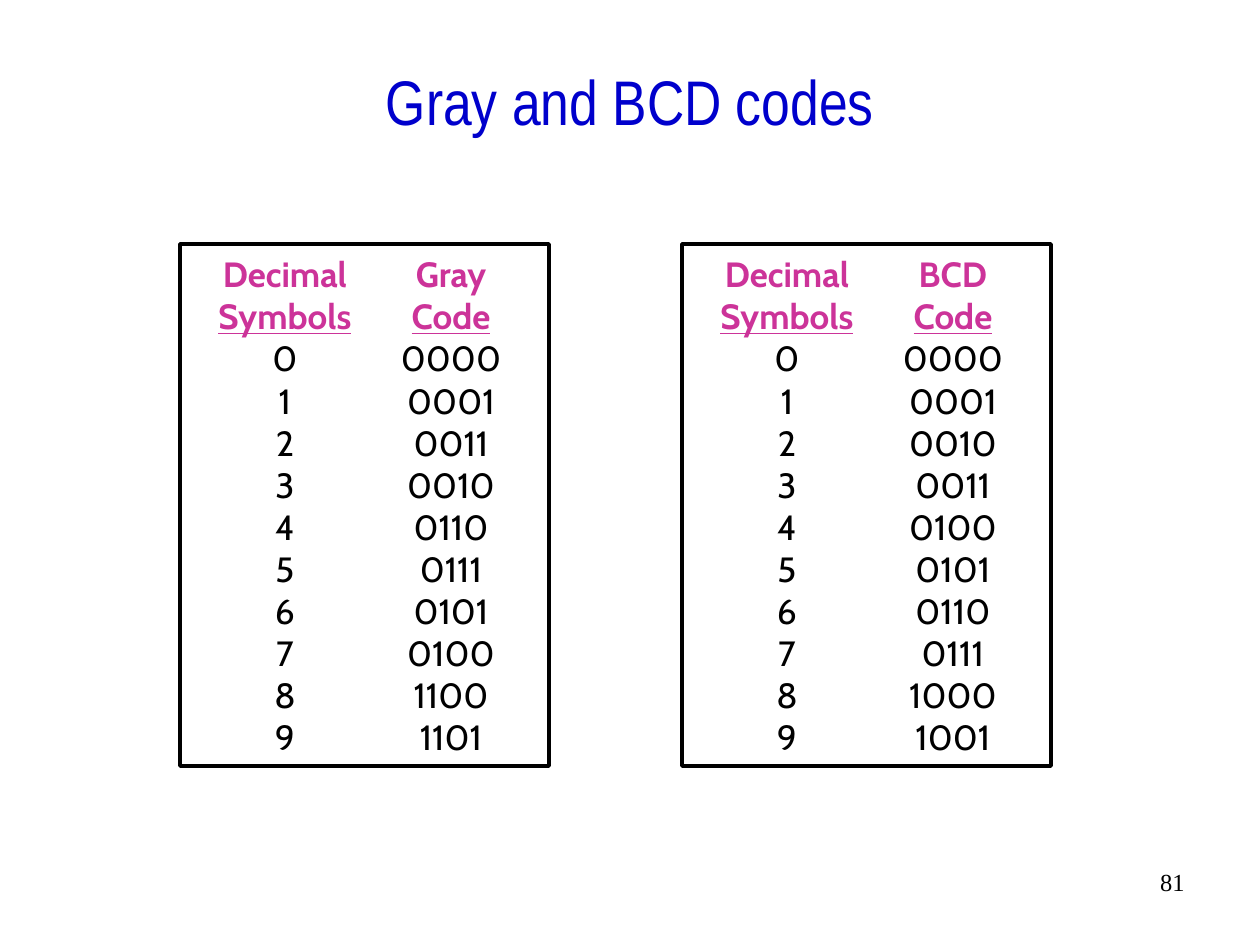
import pptx
import pptx.dml.color
import pptx.enum.shapes
import pptx.enum.text
import pptx.util

THEME = {
    "blue": "0000CC", "pink": "CC3399", "black": "000000",
    "title_font": "Arial Narrow", "code_font": "Cabin", "number_font": "Times New Roman",
    "title_size": 36, "code_size": 20, "number_size": 14, "line_spacing": 24, "frame_width": 2,
}
ALIGN = pptx.enum.text.PP_ALIGN
ANCHOR = pptx.enum.text.MSO_ANCHOR
AUTO_SIZE = pptx.enum.text.MSO_AUTO_SIZE


def px(*lengths):
    return [pptx.util.Emu(round(length * 914400 / 126)) for length in lengths]


def write(text_frame, text, *, font, size, color, align=ALIGN.CENTER,
          bold=False, underline=False, spacing=None):
    paragraph = text_frame.paragraphs[0]
    if paragraph.runs:
        paragraph = text_frame.add_paragraph()
    paragraph.alignment = align
    if spacing:
        paragraph.line_spacing = pptx.util.Pt(spacing)
    run = paragraph.add_run()
    run.text = text
    run.font.name = font
    run.font.size = pptx.util.Pt(size)
    run.font.bold = bold
    run.font.underline = underline
    run.font.color.rgb = pptx.dml.color.RGBColor.from_string(color)


presentation = pptx.Presentation()
presentation.slide_width, presentation.slide_height = px(1260, 945)
slide = presentation.slides.add_slide(presentation.slide_layouts[5])

title = slide.shapes.title
title.left, title.top, title.width, title.height = px(21, 42, 1218, 116)
title.text_frame.vertical_anchor = ANCHOR.MIDDLE
title.text_frame.auto_size = AUTO_SIZE.NONE
write(title.text_frame, "Gray and BCD codes", font=THEME["title_font"],
      size=THEME["title_size"], color=THEME["blue"])

digits = [str(digit) for digit in range(10)]
gray_codes = ["0000", "0001", "0011", "0010", "0110", "0111", "0101", "0100", "1100", "1101"]
bcd_codes = [f"{digit:04b}" for digit in range(10)]

for frame_left, code_name, codes in [(682, "BCD", bcd_codes), (180, "Gray", gray_codes)]:
    group = slide.shapes.add_group_shape()
    columns = [(11, ["Decimal", "Symbols"], digits), (177, [code_name, "Code"], codes)]
    for offset, headings, values in columns:
        column = group.shapes.add_textbox(*px(frame_left + offset, 253, 188, 504))
        text_frame = column.text_frame
        text_frame.word_wrap = True
        text_frame.auto_size = AUTO_SIZE.SHAPE_TO_FIT_TEXT
        text_frame.margin_left = text_frame.margin_right = 0
        text_frame.margin_top = text_frame.margin_bottom = 0
        for index, text in enumerate(headings + values):
            is_heading = index < len(headings)
            write(text_frame, text, font=THEME["code_font"], size=THEME["code_size"],
                  color=THEME["pink"] if is_heading else THEME["black"],
                  bold=is_heading, underline=index == 1, spacing=THEME["line_spacing"])

    frame = group.shapes.add_shape(pptx.enum.shapes.MSO_SHAPE.RECTANGLE,
                                   *px(frame_left, 244, 369, 522))
    frame.shadow.inherit = False
    frame.fill.background()
    frame.line.color.rgb = pptx.dml.color.RGBColor.from_string(THEME["black"])
    frame.line.width = pptx.util.Pt(THEME["frame_width"])

page_number = slide.shapes.add_textbox(*px(935, 861, 262, 63))
page_number.text_frame.word_wrap = True
write(page_number.text_frame, "81", font=THEME["number_font"],
      size=THEME["number_size"], color=THEME["black"], align=ALIGN.RIGHT)

presentation.save("out.pptx")
